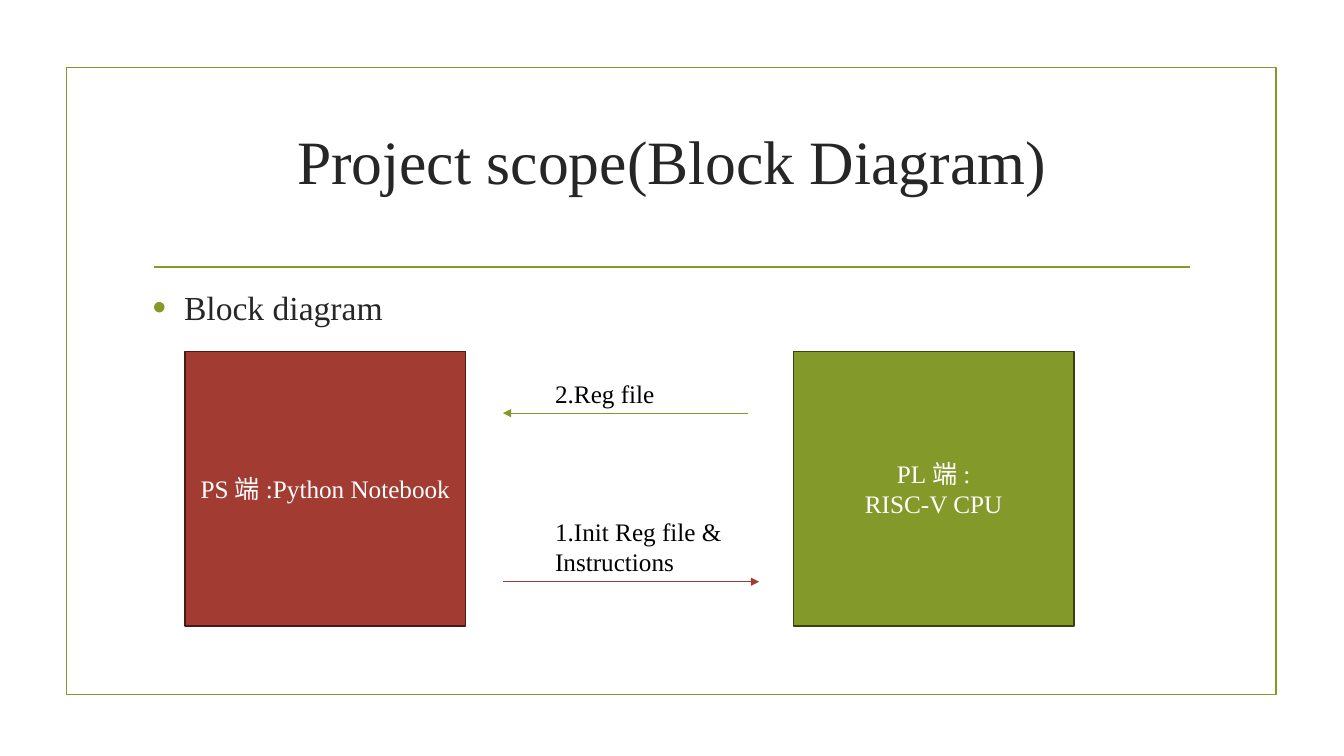
import dataclasses

import lxml.etree
import pptx
import pptx.dml.color
import pptx.enum.shapes
import pptx.enum.text
import pptx.oxml
import pptx.oxml.ns
import pptx.util

Cm = pptx.util.Cm
Pt = pptx.util.Pt
Color = pptx.dml.color.RGBColor.from_string
qn = pptx.oxml.ns.qn
Align = pptx.enum.text.PP_ALIGN
Anchor = pptx.enum.text.MSO_ANCHOR


@dataclasses.dataclass(frozen=True)
class Theme:
    latin: str = "Times New Roman"
    cjk: str = "Noto Sans CJK SC"
    green: str = "83992A"
    dark_green: str = "394312"
    red: str = "A23C33"
    dark_red: str = "471A16"
    heading: str = "262626"
    black: str = "000000"
    white: str = "FFFFFF"
    title_size: int = 44
    body_size: int = 24
    label_size: int = 18


theme = Theme()


def add_run(paragraph, text, size, color, font=theme.latin):
    run = paragraph.add_run()
    run.text = text
    run.font.size = Pt(size)
    run.font.name = font
    run.font.color.rgb = Color(color)
    east_asian = lxml.etree.SubElement(run.font._element, qn("a:ea"))
    east_asian.set("typeface", font)


def add_line(shapes, start, end, color, width, arrow=False):
    connector = shapes.add_connector(
        pptx.enum.shapes.MSO_CONNECTOR.STRAIGHT,
        Cm(start[0]), Cm(start[1]), Cm(end[0]), Cm(end[1]))
    connector.line.color.rgb = Color(color)
    connector.line.width = Pt(width)
    if arrow:
        tail = lxml.etree.SubElement(connector.line._get_or_add_ln(), qn("a:tailEnd"))
        tail.set("type", "triangle")
    lxml.etree.SubElement(connector._element.spPr, qn("a:effectLst"))


presentation = pptx.Presentation()
presentation.slide_width = Cm(33.87)
presentation.slide_height = Cm(19.05)
slide = presentation.slides.add_slide(presentation.slide_layouts[6])
shapes = slide.shapes
rectangle = pptx.enum.shapes.MSO_SHAPE.RECTANGLE

# Frame and title rule
frame = shapes.add_shape(rectangle, Cm(1.68), Cm(1.7), Cm(30.48), Cm(15.8))
frame.shadow.inherit = False
frame.fill.background()
frame.line.color.rgb = Color(theme.green)
frame.line.width = Pt(1.25)
add_line(shapes, (3.89, 6.73), (30, 6.73), theme.green, 1.25)

# Title
title = shapes.add_textbox(Cm(3.6), Cm(2.72), Cm(26.67), Cm(2.62))
title.text_frame.word_wrap = True
title.text_frame.vertical_anchor = Anchor.MIDDLE
paragraph = title.text_frame.paragraphs[0]
paragraph.alignment = Align.CENTER
add_run(paragraph, "Project scope(Block Diagram)", theme.title_size, theme.heading)

# Bulleted heading
body = shapes.add_textbox(Cm(3.6), Cm(7.11), Cm(26.67), Cm(1.5))
body.text_frame.word_wrap = True
paragraph = body.text_frame.paragraphs[0]
paragraph.space_before = Pt(4.8)
paragraph.space_after = Pt(6)
properties = paragraph._p.get_or_add_pPr()
properties.set("marL", str(Cm(0.79)))
properties.set("indent", str(-Cm(0.79)))
bullet_color = lxml.etree.SubElement(properties, qn("a:buClr"))
lxml.etree.SubElement(bullet_color, qn("a:srgbClr")).set("val", theme.green)
lxml.etree.SubElement(properties, qn("a:buSzPct")).set("val", "115000")
lxml.etree.SubElement(properties, qn("a:buFont")).set("typeface", "Arial")
lxml.etree.SubElement(properties, qn("a:buChar")).set("char", "•")
add_run(paragraph, "Block diagram", theme.body_size, theme.heading)

# Blocks: left, fill, outline, paragraphs of (text, font) runs
blocks = [
    (4.67, theme.red, theme.dark_red,
     [[("PS", theme.latin), ("端", theme.cjk), (":Python Notebook", theme.latin)]]),
    (20, theme.green, theme.dark_green,
     [[("PL", theme.latin), ("端", theme.cjk), (":", theme.latin)],
      [("RISC-V CPU", theme.latin)]]),
]
for left, fill, outline, lines in blocks:
    block = shapes.add_shape(rectangle, Cm(left), Cm(8.86), Cm(7.06), Cm(6.91))
    block.shadow.inherit = False
    block.fill.solid()
    block.fill.fore_color.rgb = Color(fill)
    block.line.color.rgb = Color(outline)
    block.line.width = Pt(1.25)
    text_frame = block.text_frame
    text_frame.word_wrap = True
    text_frame.vertical_anchor = Anchor.MIDDLE
    for index, runs in enumerate(lines):
        paragraph = text_frame.add_paragraph() if index else text_frame.paragraphs[0]
        paragraph.alignment = Align.CENTER
        for text, font in runs:
            add_run(paragraph, text, theme.label_size, theme.white, font)

# Arrows between the blocks, each with its label above
messages = [
    ((12.67, 14.66), (19.13, 14.66), theme.red, "1.Init Reg file & Instructions", 12.88, 4.8, 1.8),
    ((18.85, 10.41), (12.67, 10.41), theme.green, "2.Reg file", 9.4, 4.95, 1.02),
]
for start, end, color, text, top, width, height in messages:
    add_line(shapes, start, end, color, 0.75, arrow=True)
    label = shapes.add_textbox(Cm(13.74), Cm(top), Cm(width), Cm(height))
    label.text_frame.word_wrap = True
    label.text_frame.auto_size = pptx.enum.text.MSO_AUTO_SIZE.SHAPE_TO_FIT_TEXT
    add_run(label.text_frame.paragraphs[0], text, theme.label_size, theme.black)

presentation.save("out.pptx")
